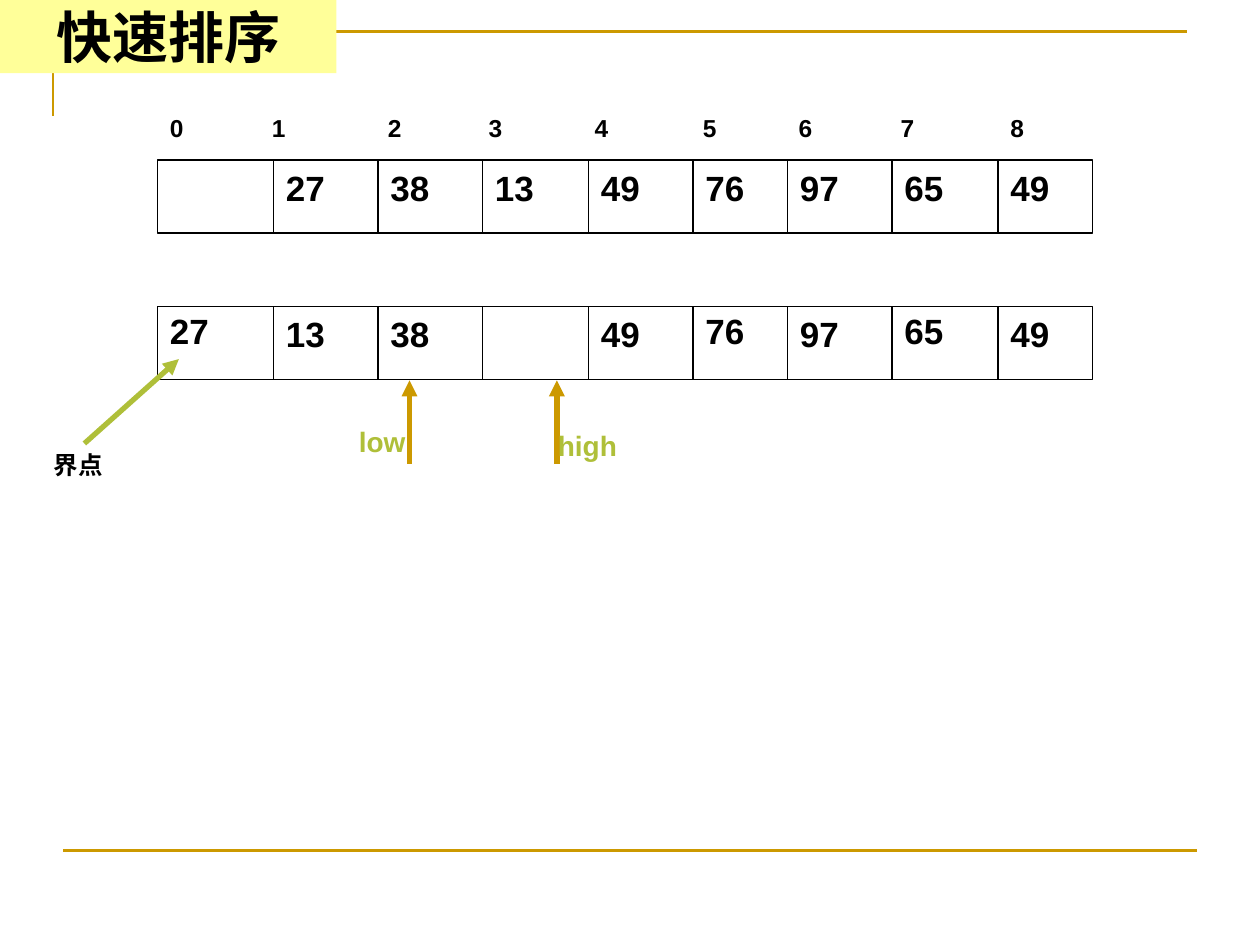
"""Build a slide showing one partition step of quicksort."""
from lxml import etree
from pptx import Presentation
from pptx import util as u
from pptx.dml.color import RGBColor
from pptx.enum import shapes, text
from pptx.oxml.ns import qn

BLACK = RGBColor(0x00, 0x00, 0x00)
WHITE = RGBColor(0xFF, 0xFF, 0xFF)
GOLD = RGBColor(0xCC, 0x99, 0x00)
GREEN = RGBColor(0xAF, 0xBF, 0x39)
YELLOW = RGBColor(0xFF, 0xFF, 0x99)

COLUMN_EDGES = [1.25, 2.17, 3, 3.83, 4.67, 5.5, 6.25, 7.08, 7.92]
ARRAY_WIDTH, ARRAY_HEIGHT = 7.42, 0.58
INDEX_TABS = [0.81, 1.73, 2.53, 3.37, 4.23, 4.99, 5.8, 6.67]
ARRAYS = [
    (1.27, ["", "27", "38", "13", "49", "76", "97", "65", "49"], []),
    (2.43, ["27", "13", "38", "", "49", "76", "97", "65", "49"], [0, 5, 7]),
]

presentation = Presentation()
presentation.slide_width = u.Inches(10)
presentation.slide_height = u.Inches(7.5)
slide = presentation.slides.add_slide(presentation.slide_layouts[5])


def write_text(content, left, top, width, height, size=20, color=BLACK, tabs=()):
    box = slide.shapes.add_textbox(*map(u.Inches, (left, top, width, height)))
    box.text_frame.word_wrap = True
    paragraph = box.text_frame.paragraphs[0]
    paragraph.text = content
    if tabs:
        properties = paragraph._p.get_or_add_pPr()
        tab_list = etree.SubElement(properties, qn("a:tabLst"))
        for position in tabs:
            etree.SubElement(tab_list, qn("a:tab"), pos=str(u.Inches(position)), algn="l")
    font = paragraph.runs[0].font
    font.name, font.size, font.bold = "Arial", u.Pt(size), True
    font.color.rgb = color


def draw_line(start, end, color, width, arrow=False):
    line = slide.shapes.add_connector(
        shapes.MSO_CONNECTOR.STRAIGHT, *map(u.Inches, (*start, *end)))
    line.line.color.rgb = color
    line.line.width = u.Pt(width)
    if arrow:
        etree.SubElement(line.line._get_or_add_ln(), qn("a:tailEnd"), type="triangle")
    etree.SubElement(line._element.spPr, qn("a:effectLst"))


builder = slide.shapes.build_freeform(u.Inches(0.42), u.Inches(0.92))
builder.add_line_segments(
    [(u.Inches(0.42), u.Inches(0.25)), (u.Inches(9.42), u.Inches(0.25))], close=False)
frame = builder.convert_to_shape()
frame.shadow.inherit = False
frame.fill.background()
frame.line.color.rgb = GOLD
frame.line.width = u.Pt(1.5)
draw_line((0.5, 6.75), (9.5, 6.75), GOLD, 1.5)

write_text("\t".join(map(str, range(9))), 1.25, 0.85, ARRAY_WIDTH, 0.34,
           size=14, tabs=INDEX_TABS)

for top, values, raised in ARRAYS:
    array = slide.shapes.add_shape(
        shapes.MSO_SHAPE.RECTANGLE,
        *map(u.Inches, (COLUMN_EDGES[0], top, ARRAY_WIDTH, ARRAY_HEIGHT)))
    array.shadow.inherit = False
    array.fill.solid()
    array.fill.fore_color.rgb = WHITE
    array.line.color.rgb = BLACK
    array.line.width = u.Pt(0.75)
    for edge in COLUMN_EDGES[1:]:
        draw_line((edge, top), (edge, top + ARRAY_HEIGHT), BLACK, 0.75)
    for index, (edge, value) in enumerate(zip(COLUMN_EDGES, values)):
        if value:
            text_top = top - 0.02 if index in raised else top
            write_text(value, edge, text_top, 0.67, 0.44)

for label, arrow_x, left, top in [("high", 4.42, 4.33, 3.35), ("low", 3.25, 2.75, 3.32)]:
    draw_line((arrow_x, 3.68), (arrow_x, 3.02), GOLD, 3, arrow=True)
    write_text(label, left, top, 0.92, 0.37, size=16, color=GREEN)

write_text("界点", 0.33, 3.52, 0.83, 0.34, size=14)
draw_line((0.67, 3.52), (1.42, 2.85), GREEN, 3, arrow=True)

title = slide.shapes.title
slide.shapes.element.append(title.element)
title.left, title.top = u.Inches(0), u.Inches(0)
title.width, title.height = u.Inches(2.67), u.Inches(0.58)
title.fill.solid()
title.fill.fore_color.rgb = YELLOW
title.text_frame.auto_size = text.MSO_AUTO_SIZE.NONE
title.text_frame.vertical_anchor = text.MSO_ANCHOR.MIDDLE
title.text_frame.text = "快速排序"
heading = title.text_frame.paragraphs[0]
heading.alignment = text.PP_ALIGN.CENTER
heading_font = heading.runs[0].font
heading_font.name, heading_font.size, heading_font.bold = "Times New Roman", u.Pt(32), True
heading_font.color.rgb = BLACK

presentation.save("out.pptx")
